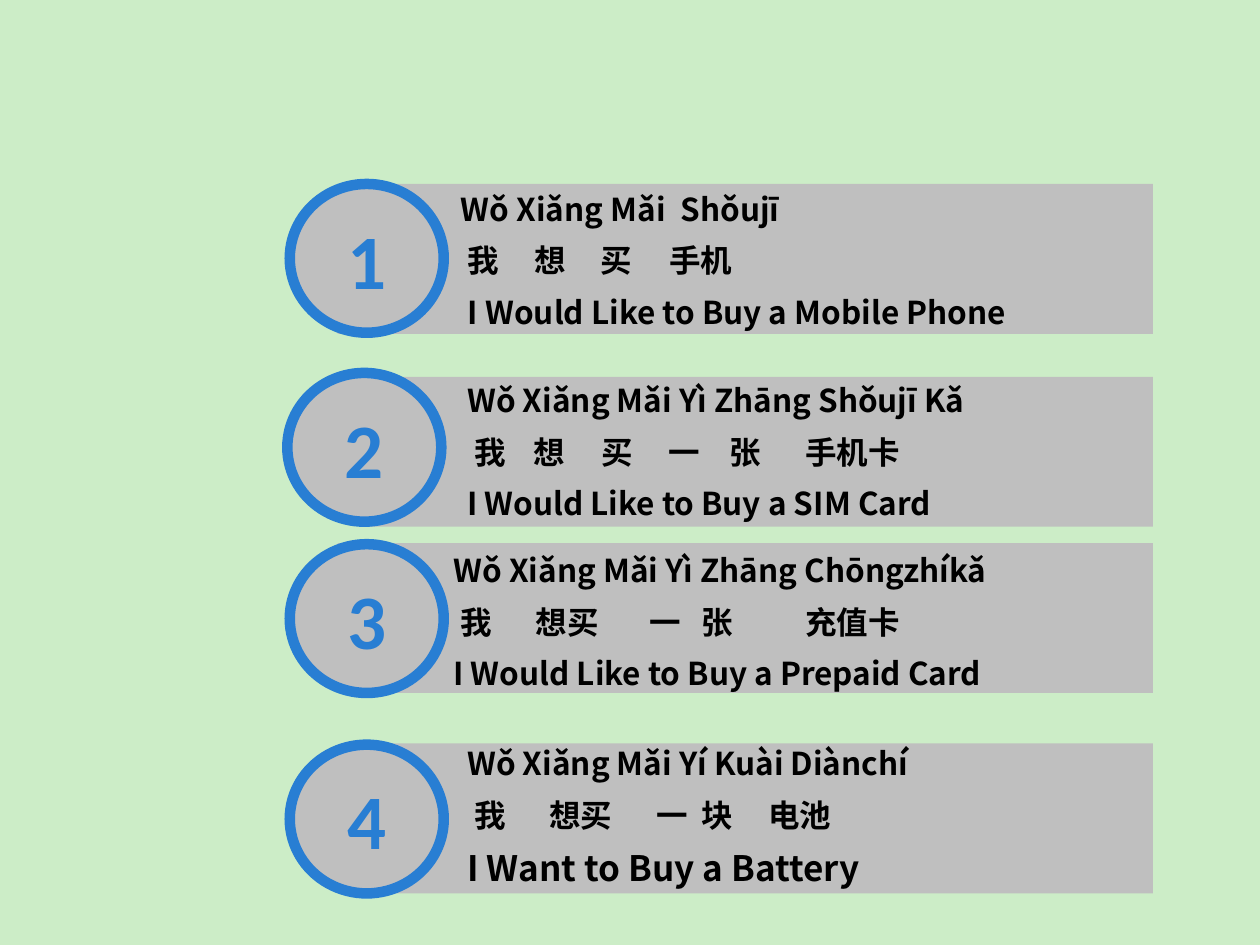
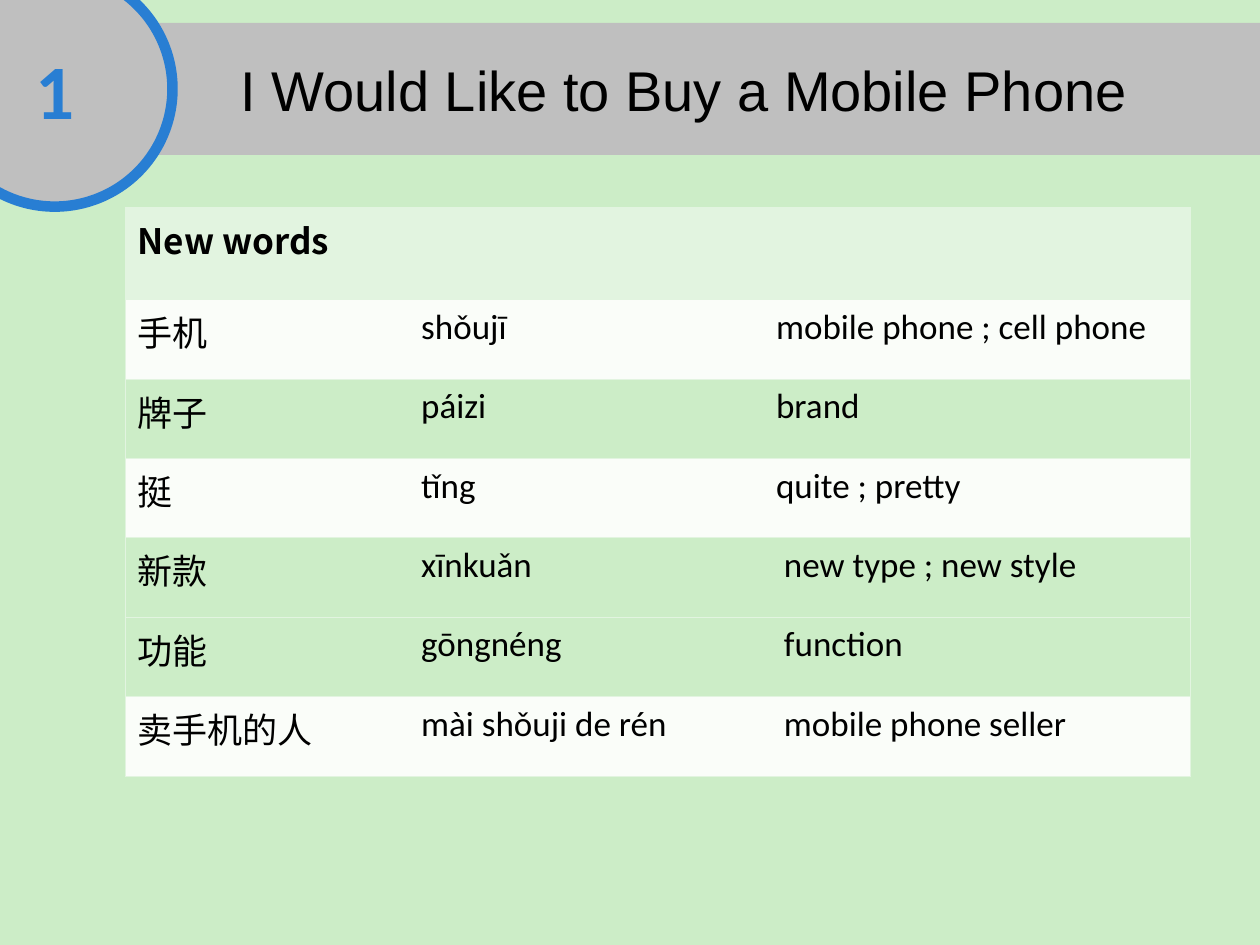
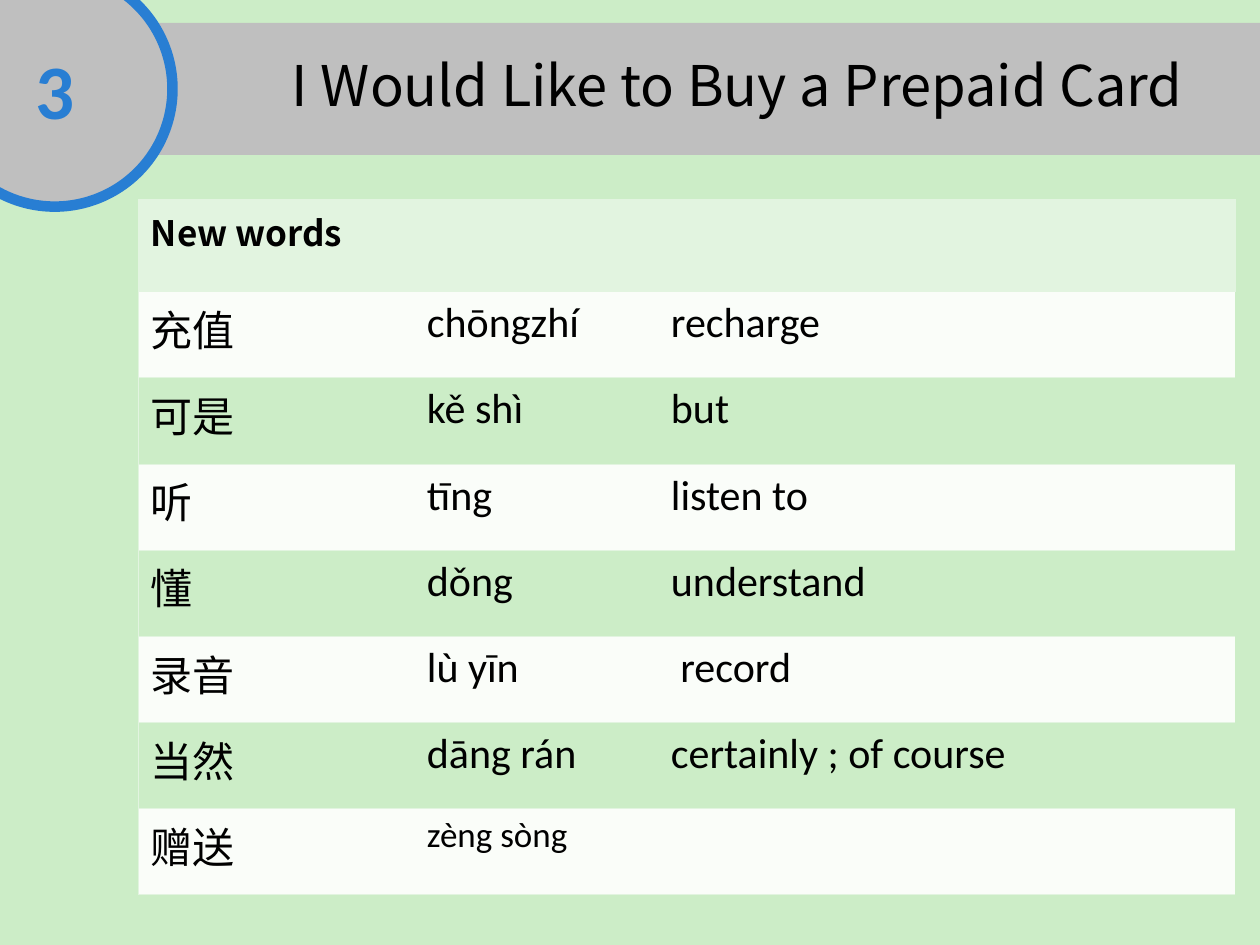
from dataclasses import dataclass
from typing import NamedTuple

from lxml.etree import SubElement
from pptx import Presentation
from pptx.dml.color import RGBColor as Rgb
from pptx.enum.shapes import MSO_SHAPE as Shape
from pptx.enum.text import MSO_ANCHOR as Anchor, PP_ALIGN as Align
from pptx.oxml.ns import qn
from pptx.util import Pt


@dataclass(frozen=True)
class Theme:
    mint: str = "CCEDC7"
    pale: str = "E2F4E0"
    near_white: str = "FAFDF9"
    grey: str = "BFBFBF"
    blue: str = "287ED3"
    black: str = "000000"
    latin: str = "Calibri"
    heading: str = "Arial"
    chinese: str = "Noto Sans CJK SC"
    number: int = 44
    title: int = 32
    body: int = 20
    phrase: int = 18
    ring: int = 6
    hairline: float = 0.45


THEME = Theme()
NO_TABLE_STYLE = "{2D5ABB26-0587-4C30-8999-92F81FD0307C}"


class Line(NamedTuple):
    text: str
    stops: tuple = ()
    size: int = THEME.phrase


class Card(NamedTuple):
    band: tuple
    circle: tuple
    text: tuple
    lines: tuple


class Word(NamedTuple):
    hanzi: str
    pinyin: str
    meaning: str = ""
    meaning_indent: int = 1
    pinyin_size: int = 0


BAND_RIGHT = 658.8
CARDS = (
    Card((193, 105.1), (165.6, 105.1), (256.3, 107.3), (
        Line("Wǒ Xiǎng Mǎi\tShǒujī", (125.5,)),
        Line("\t我\t想\t买\t手机", (4, 42, 80, 119)),
        Line("\tI Would Like to Buy a Mobile Phone", (4,)))),
    Card((205.2, 215.3), (164.2, 213.1), (259.9, 216.7), (
        Line("Wǒ Xiǎng Mǎi Yì Zhāng Shǒujī Kǎ"),
        Line("\t我\t想\t买\t一\t张\t手机卡", (4, 38, 77, 115, 150, 193)),
        Line("I Would Like to Buy a SIM Card"))),
    Card((193, 310.3), (165.6, 311), (252, 313.9), (
        Line("Wǒ Xiǎng Mǎi Yì Zhāng Chōngzhíkǎ"),
        Line("\t我\t想买\t一\t张\t充值卡", (4, 47, 112, 142, 201)),
        Line("I Would Like to Buy a Prepaid Card"))),
    Card((218.9, 424.8), (165.6, 425.5), (259.9, 424.1), (
        Line("Wǒ Xiǎng Mǎi Yí Kuài Diànchí"),
        Line("\t我\t想买\t一\t块\t电池", (4, 47, 108, 134, 172)),
        Line("I Want to Buy a Battery", size=20))),
)

PHONE_WORDS = (
    Word("手机", "shǒujī", "mobile phone ; cell phone"),
    Word("牌子", "páizi", "brand"),
    Word("挺", "tǐng", "quite ; pretty"),
    Word("新款", "xīnkuǎn", "new type ; new style", 2),
    Word("功能", "gōngnéng", "function", 2),
    Word("卖手机的人", "mài shǒuji de rén", "mobile phone seller", 2),
)
PREPAID_WORDS = (
    Word("充值", "chōngzhí", "recharge"),
    Word("可是", "kě shì", "but"),
    Word("听", "tīng", "listen to"),
    Word("懂", "dǒng", "understand"),
    Word("录音", "lù yīn", "record", 2),
    Word("当然", "dāng rán", "certainly ; of course"),
    Word("赠送", "zèng sòng", pinyin_size=20),
)


def add_page(deck):
    page = deck.slides.add_slide(deck.slide_layouts[6])
    page.background.fill.solid()
    page.background.fill.fore_color.rgb = Rgb.from_string(THEME.mint)
    return page


def write(para, text, size, font, color=THEME.black, bold=False):
    para.text = text
    for span in para.runs:
        span.font.size = Pt(size)
        span.font.name = font
        span.font.bold = bold
        span.font.color.rgb = Rgb.from_string(color)
        SubElement(span.font._element, qn("a:ea"), typeface=THEME.chinese)


def add_filled(page, kind, left, top, width, height):
    shape = page.shapes.add_shape(kind, Pt(left), Pt(top), Pt(width), Pt(height))
    shape.shadow.inherit = False
    shape.fill.solid()
    shape.fill.fore_color.rgb = Rgb.from_string(THEME.grey)
    shape.line.fill.background()
    shape.text_frame.vertical_anchor = Anchor.MIDDLE
    return shape


def add_number(page, number, left, top, width, height):
    circle = add_filled(page, Shape.OVAL, left, top, width, height)
    circle.line.color.rgb = Rgb.from_string(THEME.blue)
    circle.line.width = Pt(THEME.ring)
    para = circle.text_frame.paragraphs[0]
    para.alignment = Align.CENTER
    write(para, str(number), THEME.number, THEME.latin, THEME.blue, bold=True)


def add_text_box(page, left, top, width, height):
    box = page.shapes.add_textbox(Pt(left), Pt(top), Pt(width), Pt(height))
    box.text_frame.word_wrap = True
    return box.text_frame


def add_tab_stops(para, stops):
    tabs = SubElement(para._p.get_or_add_pPr(), qn("a:tabLst"))
    for stop in stops:
        SubElement(tabs, qn("a:tab"), pos=str(Pt(stop)), algn="l")


def add_card(page, number, card):
    left, top = card.band
    add_filled(page, Shape.RECTANGLE, left, top, BAND_RIGHT - left, 85.7)
    add_number(page, number, *card.circle, 88, 85)
    frame = add_text_box(page, *card.text, 386, 86)
    for index, line in enumerate(card.lines):
        para = frame.add_paragraph() if index else frame.paragraphs[0]
        if line.stops:
            add_tab_stops(para, line.stops)
        para.line_spacing = 0.9
        if index:
            para.space_before = Pt(10)
        write(para, line.text, line.size, THEME.chinese, bold=True)


def add_header(page, number):
    """Draw the title band with its numbered circle; return the band."""
    band = add_filled(page, Shape.RECTANGLE, 62, 13, 658, 75.5)
    add_number(page, number, -36, -16.5, 134.6, 134.6)
    return band


def write_title(frame, text, font):
    para = frame.paragraphs[0]
    para.alignment = Align.CENTER
    write(para, text, THEME.title, font)


def style_cell(cell, color, sides):
    properties = cell._tc.get_or_add_tcPr()
    for side in sides:
        border = SubElement(properties, qn(f"a:ln{side}"), w=str(Pt(THEME.hairline)))
        fill = SubElement(border, qn("a:solidFill"))
        SubElement(fill, qn("a:srgbClr"), val=THEME.pale)
    cell.fill.solid()
    cell.fill.fore_color.rgb = Rgb.from_string(color)


def write_cell(cell, text, size, indent=0):
    """Write a vocabulary cell, indented by a number of space widths."""
    cell.margin_left = Pt(7.2 + indent * size * 0.226)
    write(cell.text_frame.paragraphs[0], text, size, THEME.latin)


def add_word_table(page, words, corner, widths, row_height, size,
                   green_rows, pinyin_indent=0, right_edge=False):
    left, top = corner
    header_height = 52.7
    height = header_height + row_height * len(words)
    frame = page.shapes.add_table(len(words) + 1, len(widths), Pt(left), Pt(top),
                                  Pt(sum(widths)), Pt(height))
    table = frame.table
    table.first_row = table.horz_banding = False
    table._tbl.tblPr.find(qn("a:tableStyleId")).text = NO_TABLE_STYLE
    for column, width in zip(table.columns, widths):
        column.width = Pt(width)
    last = len(widths) - 1
    for index, row in enumerate(table.rows):
        row.height = Pt(row_height if index else header_height)
        color = THEME.mint if index in green_rows else THEME.near_white
        for column, cell in enumerate(row.cells):
            if index == 0:
                style_cell(cell, THEME.pale, "LRTB")
                continue
            sides = "L" if column == 0 else ""
            sides += "R" if right_edge and column == last else ""
            style_cell(cell, color, sides + "TB")

    table.cell(0, 0).merge(table.cell(0, 1))
    write(table.cell(0, 0).text_frame.paragraphs[0], "New words",
          THEME.body, THEME.chinese, bold=True)
    for index, word in enumerate(words, start=1):
        if last > 2:
            table.cell(index, 1).merge(table.cell(index, last - 1))
        write_cell(table.cell(index, 0), word.hanzi, size)
        write_cell(table.cell(index, 1), word.pinyin, word.pinyin_size or size,
                   pinyin_indent)
        if word.meaning:
            write_cell(table.cell(index, last), word.meaning, size, word.meaning_indent)


def add_contents_page(deck):
    page = add_page(deck)
    for number, card in enumerate(CARDS, start=1):
        add_card(page, number, card)


def add_phone_page(deck):
    page = add_page(deck)
    band = add_header(page, 1)
    write_title(band.text_frame, "I Would Like to Buy a Mobile Phone", THEME.heading)
    add_word_table(page, PHONE_WORDS, (71.5, 118.5), (157.5, 45.3, 157.5, 248.4),
                   45.4, THEME.body, {2, 4, 5}, pinyin_indent=1, right_edge=True)


def add_prepaid_page(deck):
    page = add_page(deck)
    add_header(page, 3)
    frame = add_text_box(page, 123, 25.2, 597, 46)
    write_title(frame, "I Would Like to Buy a Prepaid Card", THEME.chinese)
    add_word_table(page, PREPAID_WORDS, (79, 114), (157.8, 134, 335),
                   49.2, 24, {2, 4, 6})


def main():
    deck = Presentation()
    deck.slide_width, deck.slide_height = Pt(720), Pt(540)
    add_contents_page(deck)
    add_phone_page(deck)
    add_prepaid_page(deck)
    deck.save("out.pptx")


if __name__ == "__main__":
    main()
